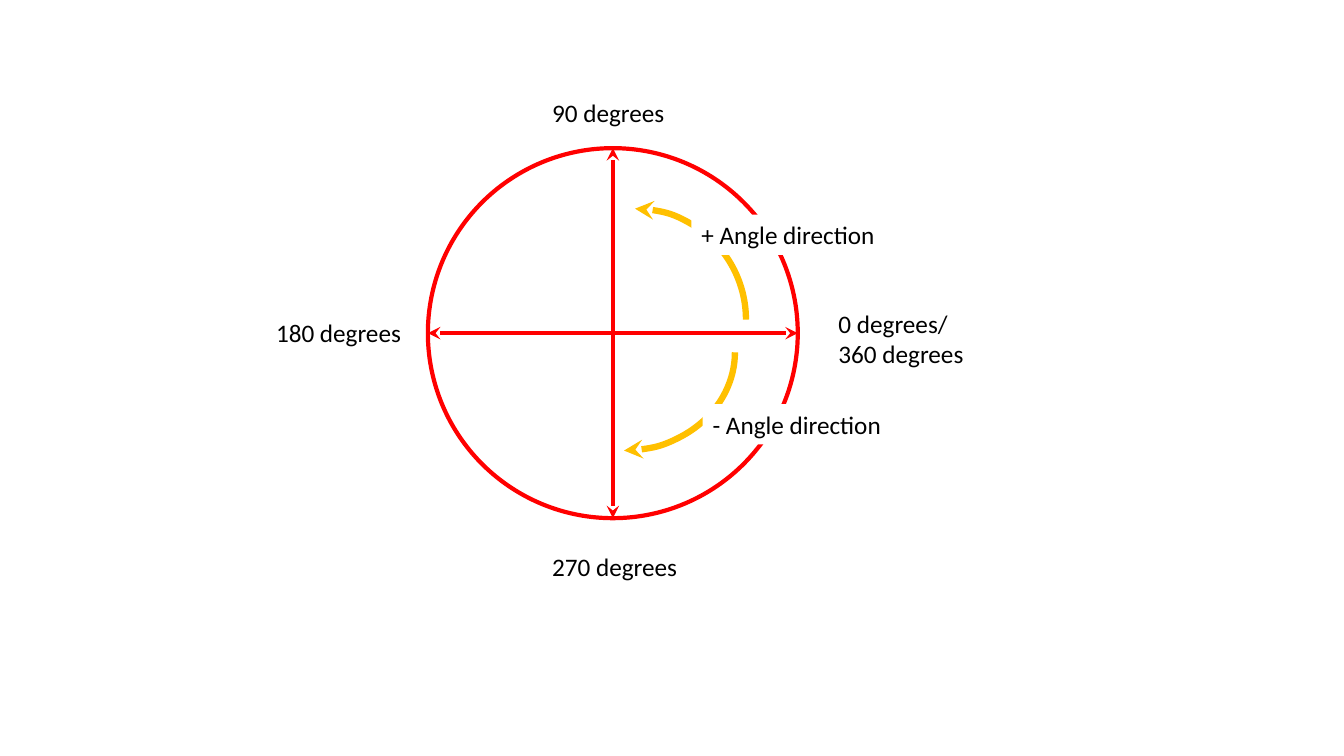
from lxml.etree import SubElement as Sub
from pptx import Presentation
from pptx.dml.color import RGBColor as Rgb
from pptx.enum.shapes import MSO_CONNECTOR as Line, MSO_SHAPE as Kind
from pptx.enum.text import MSO_AUTO_SIZE as Fit
from pptx.oxml.ns import qn
from pptx.util import Inches, Pt

WIDE, HIGH = Inches(13.33), Inches(7.5)
HUES = {"ring": "FF0000", "turn": "FFC000", "text": "000000", "back": "FFFFFF"}

# Circle centre and radii, in percent of the slide's width and height
MID_X, MID_Y = 45.6, 44.07
RAD_X, RAD_Y = 13.76, 24.47
ROW = 5.33  # height of one text line

# Left, top, width, height in percent
ARCS = [
    ((39, 27.6, 16.5, 29.33), False),
    ((38.18, 33.6, 16.5, 26), True),
]
LABELS = [
    ("0 degrees/\n360 degrees", (61.65, 40.13, 12.08, 9.47), None),
    ("90 degrees", (40.35, 12.27, 12.08, ROW), None),
    ("180 degrees", (19.8, 41.33, 12.08, ROW), None),
    ("270 degrees", (40.35, 72.27, 12.08, ROW), None),
    ("+ Angle direction", (51.45, 28.4, 14.55, ROW), "back"),
    ("- Angle direction", (52.28, 53.47, 15.23, ROW), "back"),
]


def place(*shares):
    """Turn x, y pairs of percentages into slide lengths."""
    sides = (WIDE, HIGH) * (len(shares) // 2)
    return [round(part * side / 100) for part, side in zip(shares, sides)]


def color(name):
    return Rgb.from_string(HUES[name])


def stroke(shape, hue, width, end=None):
    shape.line.color.rgb = color(hue)
    shape.line.width = Pt(width)
    if end:
        Sub(shape.line._get_or_add_ln(), qn("a:" + end), type="stealth")


def outline(slide, kind, box, hue, width, end=None):
    shape = slide.shapes.add_shape(kind, *place(*box))
    shape.shadow.inherit = False
    shape.fill.background()
    stroke(shape, hue, width, end)
    return shape


def arc(slide, box, flip):
    shape = outline(slide, Kind.ARC, box, "turn", 4.5, "headEnd")
    if flip:
        shape._element.spPr.xfrm.set("flipV", "1")


def arrow(slide, step_x, step_y):
    ends = place(MID_X, MID_Y, MID_X + step_x * RAD_X, MID_Y + step_y * RAD_Y)
    line = slide.shapes.add_connector(Line.STRAIGHT, *ends)
    stroke(line, "ring", 3, "tailEnd")
    Sub(line._element.spPr, qn("a:effectLst"))


def label(slide, text, box, fill):
    shape = slide.shapes.add_textbox(*place(*box))
    if fill:
        shape.fill.solid()
        shape.fill.fore_color.rgb = color(fill)
    frame = shape.text_frame
    frame.text = text
    frame.word_wrap = fill is None
    frame.auto_size = Fit.SHAPE_TO_FIT_TEXT
    for par in frame.paragraphs:
        for run in par.runs:
            run.font.name = "Calibri"
            run.font.size = Pt(18)
            run.font.color.rgb = color("text")


def main():
    deck = Presentation()
    deck.slide_width, deck.slide_height = WIDE, HIGH
    slide = deck.slides.add_slide(deck.slide_layouts[6])

    # Circle with its four axes
    ring = (MID_X - RAD_X, MID_Y - RAD_Y, 2 * RAD_X, 2 * RAD_Y)
    outline(slide, Kind.OVAL, ring, "ring", 3)
    for step in ((1, 0), (0, 1), (-1, 0), (0, -1)):
        arrow(slide, *step)

    # Turning directions
    for box, flip in ARCS:
        arc(slide, box, flip)

    # Labels, on top of the arcs they cut
    for text, box, fill in LABELS:
        label(slide, text, box, fill)

    deck.save("out.pptx")


if __name__ == "__main__":
    main()
